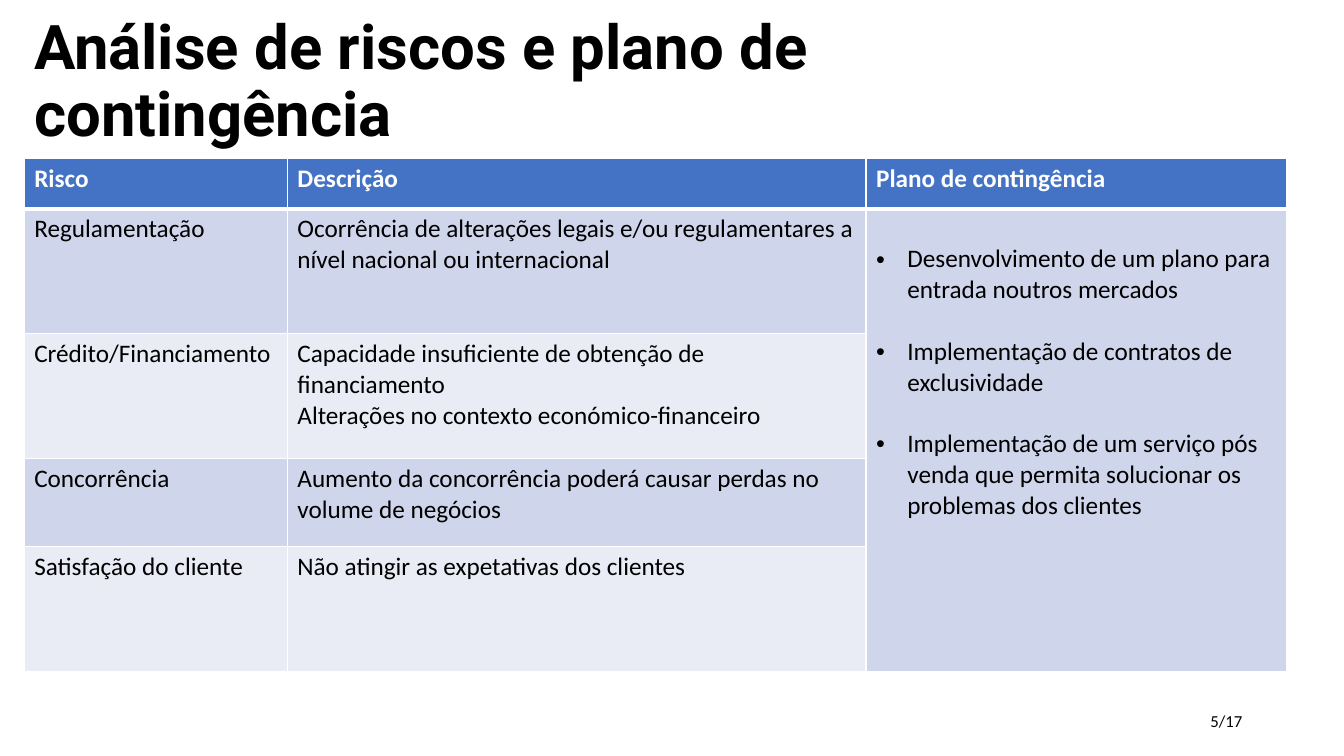
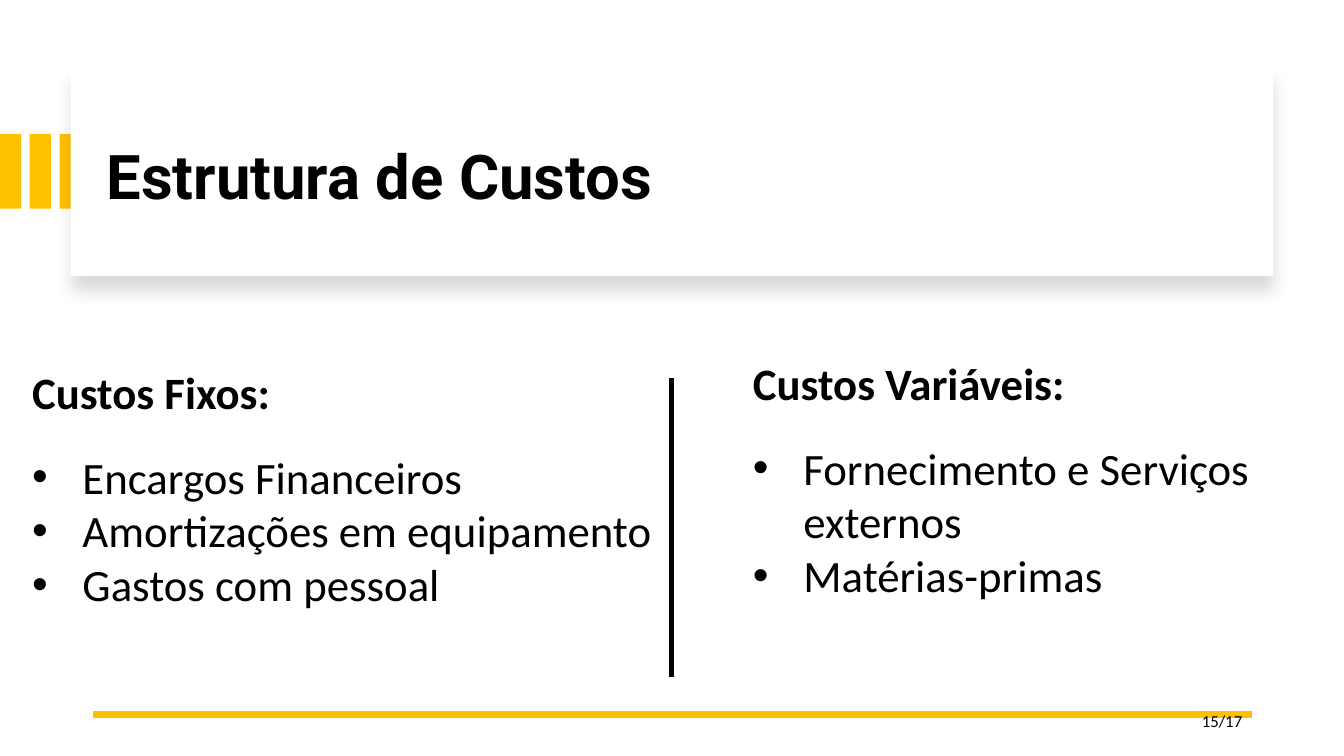
from lxml.etree import SubElement
from pptx import Presentation
from pptx.dml.color import RGBColor
from pptx.enum.shapes import MSO_CONNECTOR, MSO_SHAPE
from pptx.enum.text import MSO_ANCHOR, MSO_AUTO_SIZE, PP_ALIGN
from pptx.oxml.ns import qn
from pptx.util import Inches, Pt

COLORS = {
    "black": "000000",
    "white": "FFFFFF",
    "gold": "FFC000",
    "header": "4472C4",
    "band_dark": "CFD5EA",
    "band_light": "E9EBF5",
}
TITLE_FONT, BODY_FONT = "Roboto", "Calibri"
PAGE_COUNT = 17
BLANK_LINE = 22  # points, one empty line of 18 pt text


def rgb(name):
    return RGBColor.from_string(COLORS[name])


class Deck:
    def __init__(self):
        self.presentation = Presentation()
        self.presentation.slide_width = Inches(13.33)
        self.presentation.slide_height = Inches(7.5)
        self.slide = None

    def add_slide(self):
        self.slide = self.presentation.slides.add_slide(
            self.presentation.slide_layouts[6])

    # Text
    def run(self, paragraph, text, size, bold=False, color="black", font=BODY_FONT):
        run = paragraph.add_run()
        run.text = text
        run.font.size = Pt(size)
        run.font.bold = bold
        run.font.name = font
        run.font.color.rgb = rgb(color)

    def bullet(self, paragraph, indent):
        properties = paragraph._p.get_or_add_pPr()
        properties.set("marL", str(Inches(indent)))
        properties.set("indent", str(-Inches(indent)))
        SubElement(properties, qn("a:buFont"), typeface="Arial")
        SubElement(properties, qn("a:buChar"), char="•")

    def paragraphs(self, frame, lines, size, indent=0, gap=0, **style):
        for index, line in enumerate(lines):
            first = index == 0 and not frame.paragraphs[0].runs
            paragraph = frame.paragraphs[0] if first else frame.add_paragraph()
            if indent:
                self.bullet(paragraph, indent)
            if gap and index:
                paragraph.space_before = Pt(gap)
            self.run(paragraph, line, size, **style)

    def text_box(self, left, top, width, height, anchor=MSO_ANCHOR.TOP):
        shape = self.slide.shapes.add_textbox(
            Inches(left), Inches(top), Inches(width), Inches(height))
        frame = shape.text_frame
        frame.word_wrap = True
        frame.vertical_anchor = anchor
        return frame

    def title(self, text, left, top):
        frame = self.text_box(left, top, 11.5, 1.07, MSO_ANCHOR.MIDDLE)
        frame.margin_right = Inches(0.5)
        paragraph = frame.paragraphs[0]
        paragraph.line_spacing = 0.9
        self.run(paragraph, text, 44, bold=True, font=TITLE_FONT)

    def page_number(self, number):
        frame = self.text_box(9.42, 6.95, 3, 0.4, MSO_ANCHOR.MIDDLE)
        paragraph = frame.paragraphs[0]
        paragraph.alignment = PP_ALIGN.RIGHT
        self.run(paragraph, f"{number}/{PAGE_COUNT}", 12)

    def cost_column(self, heading, items, left, top, width):
        frame = self.text_box(left, top, width, 2.56)
        frame.auto_size = MSO_AUTO_SIZE.SHAPE_TO_FIT_TEXT
        self.paragraphs(frame, [heading], 32, bold=True)
        frame.paragraphs[0].space_after = Pt(BLANK_LINE)
        self.paragraphs(frame, items, 32, indent=0.5)

    # Shapes and lines
    def rectangle(self, left, top, width, height, color):
        shape = self.slide.shapes.add_shape(
            MSO_SHAPE.RECTANGLE, Inches(left), Inches(top), Inches(width), Inches(height))
        shape.shadow.inherit = False
        shape.fill.solid()
        shape.fill.fore_color.rgb = rgb(color)
        shape.line.fill.background()
        return shape

    def soft_shadow(self, shape):
        effects = shape._element.spPr.find(qn("a:effectLst"))
        shadow = SubElement(effects, qn("a:outerShdw"), blurRad=str(Pt(11)),
                            dist=str(Pt(10)), dir="5400000", algn="t", rotWithShape="0")
        color = SubElement(shadow, qn("a:srgbClr"), val=COLORS["black"])
        SubElement(color, qn("a:alpha"), val="15000")

    def line(self, start, end, color, width):
        connector = self.slide.shapes.add_connector(
            MSO_CONNECTOR.STRAIGHT, *map(Inches, start + end))
        connector.line.color.rgb = rgb(color)
        connector.line.width = Pt(width)
        SubElement(connector._element.spPr, qn("a:effectLst"))

    # Table
    def style_cell(self, cell, color, top=1, bottom=1):
        properties = cell._tc.get_or_add_tcPr()
        for side, width in (("L", 1), ("R", 1), ("T", top), ("B", bottom)):
            border = SubElement(properties, qn(f"a:ln{side}"), w=str(Pt(width)))
            fill = SubElement(border, qn("a:solidFill"))
            SubElement(fill, qn("a:srgbClr"), val=COLORS["white"])
        cell.fill.solid()
        cell.fill.fore_color.rgb = rgb(color)

    def risk_table(self, left, top, widths, heights, headings, risks, plans):
        table = self.slide.shapes.add_table(
            len(heights), len(widths), Inches(left), Inches(top),
            Inches(sum(widths)), Inches(sum(heights))).table
        for column, width in zip(table.columns, widths):
            column.width = Inches(width)
        for row, height in zip(table.rows, heights):
            row.height = Inches(height)

        # Header row
        for column, heading in enumerate(headings):
            cell = table.cell(0, column)
            self.style_cell(cell, "header", bottom=3)
            self.paragraphs(cell.text_frame, [heading], 18, bold=True, color="white")

        # Risks and their descriptions
        for row, (risk, description) in enumerate(risks, start=1):
            band = "band_dark" if row % 2 else "band_light"
            for column in range(len(widths)):
                self.style_cell(table.cell(row, column), band, top=3 if row == 1 else 1)
            self.paragraphs(table.cell(row, 0).text_frame, [risk], 18)
            self.paragraphs(table.cell(row, 1).text_frame, description, 18)

        # Contingency plan across all risks
        plan_cell = table.cell(1, 2)
        plan_cell.merge(table.cell(len(risks), 2))
        plan_cell.margin_top = Inches(0.35)
        self.paragraphs(plan_cell.text_frame, plans, 18, indent=0.31, gap=BLANK_LINE)


deck = Deck()

# Risk analysis
deck.add_slide()
deck.title("Análise de riscos e plano de contingência", 0.24, 0.29)
deck.risk_table(
    0.24, 1.57, [2.61, 5.74, 4.17], [0.5, 1.24, 1.24, 0.87, 1.24],
    ["Risco", "Descrição", "Plano de contingência"],
    [
        ("Regulamentação",
         ["Ocorrência de alterações legais e/ou regulamentares a nível nacional "
          "ou internacional"]),
        ("Crédito/Financiamento",
         ["Capacidade insuficiente de obtenção de financiamento",
          "Alterações no contexto económico-financeiro"]),
        ("Concorrência",
         ["Aumento da concorrência poderá causar perdas no volume de negócios"]),
        ("Satisfação do cliente",
         ["Não atingir as expetativas dos clientes"]),
    ],
    ["Desenvolvimento de um plano para entrada noutros mercados",
     "Implementação de contratos de exclusividade",
     "Implementação de um serviço pós venda que permita solucionar os problemas "
     "dos clientes"])
deck.page_number(5)

# Cost structure
deck.add_slide()
for index in range(3):
    deck.rectangle(index * 0.59 / 2, 1.33, 0.21, 0.74, "gold")
title_panel = deck.rectangle(0.7, 0.67, 11.93, 2.07, "white")
deck.soft_shadow(title_panel)
deck.line((0.92, 7.09), (12.42, 7.09), "gold", 4.5)
deck.cost_column("Custos Variáveis:",
                 ["Fornecimento e Serviços externos", "Matérias-primas"],
                 7.37, 3.48, 5.67)
deck.cost_column("Custos Fixos:",
                 ["Encargos Financeiros", "Amortizações em equipamento",
                  "Gastos com pessoal"],
                 0.22, 3.57, 6.44)
deck.line((6.66, 3.75), (6.66, 6.72), "black", 3)
deck.title("Estrutura de Custos", 0.96, 1.25)
deck.page_number(15)

deck.presentation.save("out.pptx")
